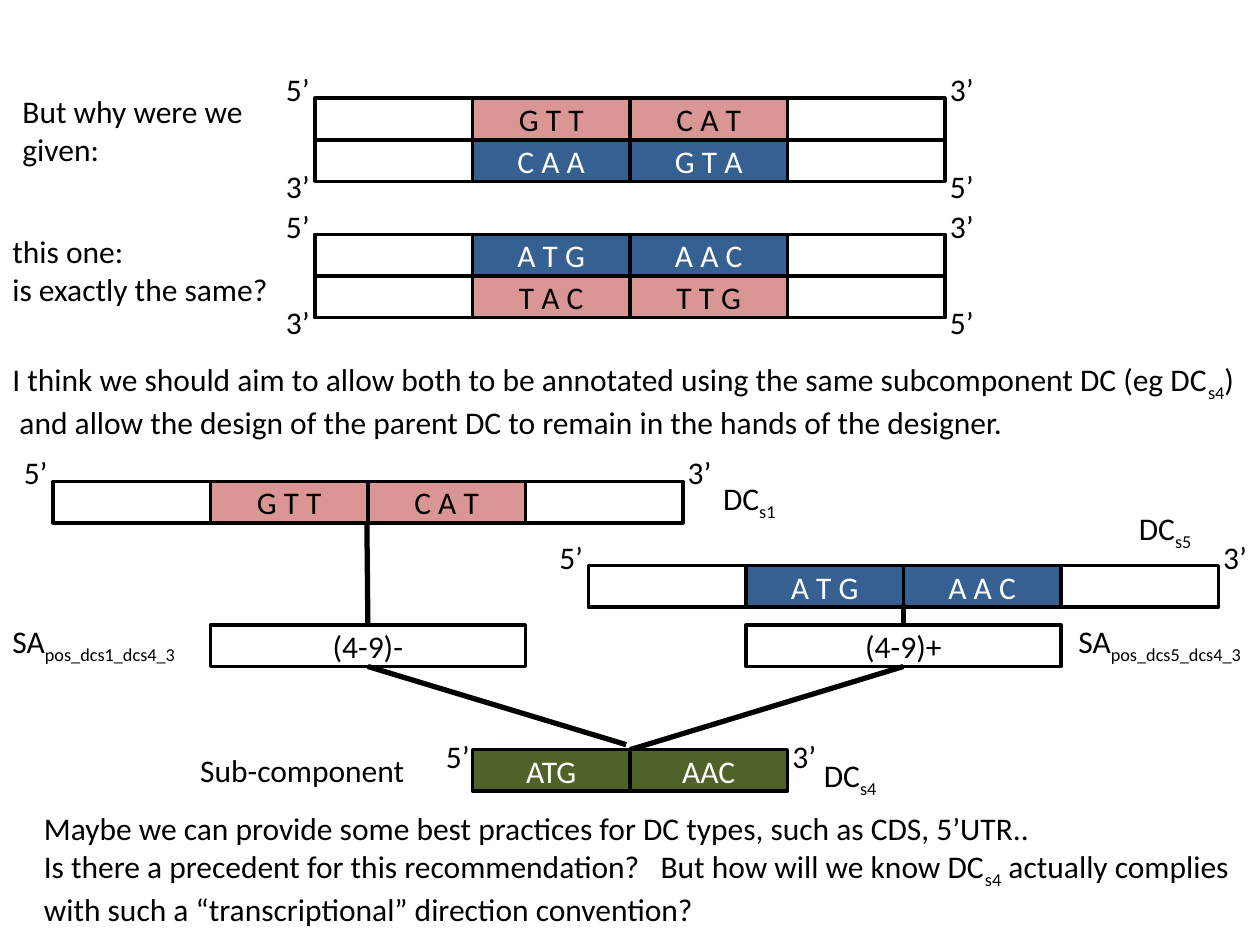
from pptx import Presentation
from pptx.dml.color import RGBColor
from pptx.enum import shapes, text
from pptx.oxml.ns import qn
from pptx.util import Inches, Pt
from lxml import etree

BLACK = RGBColor(0x00, 0x00, 0x00)
WHITE = RGBColor(0xFF, 0xFF, 0xFF)
PINK = RGBColor(0xD9, 0x96, 0x94)
BLUE = RGBColor(0x37, 0x60, 0x92)
GREEN = RGBColor(0x4F, 0x62, 0x28)
CODON_W, ROW_H = 1.25, 0.33

prs = Presentation()
prs.slide_width, prs.slide_height = Inches(10), Inches(7.5)
s = prs.slides.add_slide(prs.slide_layouts[6])


def add_box(parent, x, y, w, content="", fill=None):
    sp = parent.add_shape(shapes.MSO_SHAPE.RECTANGLE, Inches(x), Inches(y), Inches(w), Inches(ROW_H))
    sp.shadow.inherit = False
    sp.line.color.rgb = BLACK
    sp.line.width = Pt(2)
    if fill is None:
        sp.fill.background()
    else:
        sp.fill.solid()
        sp.fill.fore_color.rgb = fill
    if content:
        tf = sp.text_frame
        tf.vertical_anchor = text.MSO_ANCHOR.MIDDLE
        p = tf.paragraphs[0]
        p.text = content
        p.alignment = text.PP_ALIGN.CENTER
        p.font.name, p.font.size = "Calibri", Pt(18)
        p.font.color.rgb = WHITE if fill in (BLUE, GREEN) else BLACK
    return sp


def add_label(parent, x, y, w, *lines, wrap=False):
    h = 0.4 + 0.305 * (len(lines) - 1)
    tf = parent.add_textbox(Inches(x), Inches(y), Inches(w), Inches(h)).text_frame
    tf.word_wrap = wrap
    tf.auto_size = text.MSO_AUTO_SIZE.SHAPE_TO_FIT_TEXT
    for i, line in enumerate(lines):
        p = tf.add_paragraph() if i else tf.paragraphs[0]
        p.font.name, p.font.size = "Calibri", Pt(18)
        p.font.color.rgb = BLACK
        for j, part in enumerate(line.split("|")):
            r = p.add_run()
            r.text = part
            if j % 2:
                r._r.get_or_add_rPr().set("baseline", "-25000")


minus = add_box(s.shapes, 1.67, 4.96, 2 * CODON_W, "(4-9)-")
plus = add_box(s.shapes, 5.92, 4.96, 2 * CODON_W, "(4-9)+")

links = []
for x1, y1, x2, y2 in [
    (2.91, 3.96, 2.92, 4.96),
    (7.17, 4.79, 7.17, 4.96),
    (2.92, 5.29, 4.97, 5.91),
    (7.17, 5.29, 5, 5.95),
]:
    c = s.shapes.add_connector(shapes.MSO_CONNECTOR.STRAIGHT, Inches(x1), Inches(y1), Inches(x2), Inches(y2))
    c.line.color.rgb = BLACK
    c.line.width = Pt(3)
    etree.SubElement(c._element.spPr, qn("a:effectLst"))
    links.append(c)
links[0].end_connect(minus, 0)
links[1].end_connect(plus, 0)
links[2].begin_connect(minus, 2)
links[3].begin_connect(plus, 2)

strands = [
    (2.5, 0.78, [("G T T", "C A T", PINK), ("C A A", "G T A", BLUE)]),
    (2.5, 1.86, [("A T G", "A A C", BLUE), ("T A C", "T T G", PINK)]),
    (0.42, 3.82, [("G T T", "C A T", PINK)]),
    (4.67, 4.49, [("A T G", "A A C", BLUE)]),
]
for x, y, rows in strands:
    group = s.shapes.add_group_shape().shapes
    for i, (first, second, fill) in enumerate(rows):
        top = y + i * ROW_H
        for col in (0, 3):
            add_box(group, x + col * CODON_W, top, CODON_W)
        for col, codon in ((2, second), (1, first)):
            add_box(group, x + col * CODON_W, top, CODON_W, codon, fill)
    ends = [("5’", "3’", y - 0.27), ("3’", "5’", y + 0.5)]
    for left, right, top in ends[:len(rows)]:
        add_label(group, x - 0.33, top, 0.39, left)
        add_label(group, x + 4.94, top, 0.39, right)
links[1]._element.getparent().append(links[1]._element)

for i, codon in enumerate(("ATG", "AAC")):
    add_box(s.shapes, 3.75 + i * CODON_W, 5.95, CODON_W, codon, GREEN)

for x, y, w, label in [
    (3.44, 5.8, 0.39, "5’"),
    (6.19, 5.8, 0.39, "3’"),
    (1.49, 5.91, 1.84, "Sub-component"),
    (6.44, 5.95, 0.65, "DC|s4"),
    (5.64, 3.75, 0.65, "DC|s1"),
    (8.94, 3.99, 0.65, "DC|s5"),
    (0, 4.89, 1.67, "SA|pos_dcs1_dcs4_3"),
    (8.46, 4.89, 1.67, "SA|pos_dcs5_dcs4_3"),
]:
    add_label(s.shapes, x, y, w, label)

add_label(s.shapes, 0.08, 0.68, 2.03, "But why were we", "given:")
add_label(s.shapes, 0, 1.79, 2.36, "this one:", "is exactly the same?", wrap=True)
add_label(
    s.shapes, 0, 2.81, 10.04,
    "I think we should aim to allow both to be annotated using the same subcomponent DC (eg DC|s4|)",
    " and allow the design of the parent DC to remain in the hands of the designer.",
)
add_label(
    s.shapes, 0.25, 6.37, 9.74,
    "Maybe we can provide some best practices for DC types, such as CDS, 5’UTR..",
    "Is there a precedent for this recommendation?   But how will we know DC|s4| actually complies",
    "with such a “transcriptional” direction convention?",
)

prs.save("out.pptx")
